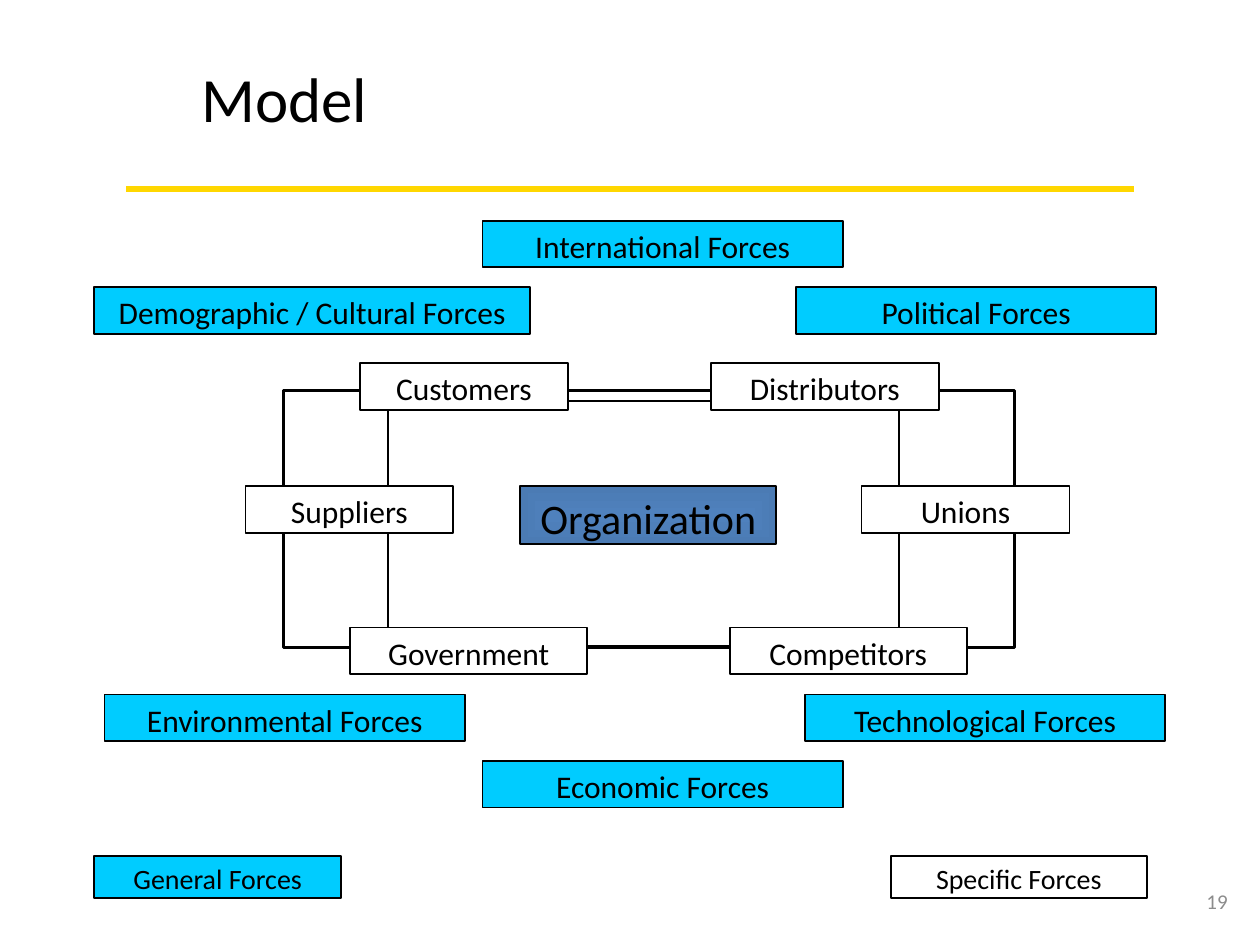
from lxml import etree
from pptx import Presentation
from pptx import util as u
from pptx.dml.color import RGBColor
from pptx.enum import shapes, text
from pptx.oxml import ns

BLACK = RGBColor(0x00, 0x00, 0x00)
WHITE = RGBColor(0xFF, 0xFF, 0xFF)
CYAN = RGBColor(0x00, 0xCC, 0xFF)
GOLD = RGBColor(0xFF, 0xD7, 0x00)
GRAY = RGBColor(0x8C, 0x8C, 0x8C)
BLUE = RGBColor(0x4F, 0x81, 0xBD)
DARK_BLUE = RGBColor(0x4B, 0x7B, 0xB4)
FONT = "Calibri"

# Lengths in centimetres: label, left, top, width
FORCE_HEIGHT, LEGEND_HEIGHT = 0.94, 0.86
GENERAL_FORCES = [
    ("International Forces", 9.73, 4.45, 7.26),
    ("Demographic / Cultural Forces", 1.9, 5.79, 8.79),
    ("Political Forces", 16.05, 5.79, 7.26),
    ("Environmental Forces", 2.11, 14.0, 7.26),
    ("Technological Forces", 16.23, 14.0, 7.26),
    ("Economic Forces", 9.73, 15.34, 7.26),
]
SPECIFIC_FORCES = [
    ("Customers", 7.26, 7.32, 4.19),
    ("Distributors", 14.33, 7.32, 4.6),
    ("Suppliers", 4.95, 9.8, 4.19),
    ("Unions", 17.37, 9.8, 4.19),
    ("Government", 7.06, 12.65, 4.78),
    ("Competitors", 14.71, 12.65, 4.78),
]
LEGEND = [
    ("General Forces", 1.9, 17.25, 4.98, CYAN),
    ("Specific Forces", 17.96, 17.25, 5.16, WHITE),
]
INNER_FRAME = (7.82, 8.08, 10.31, 4.95)
OUTER_FRAME = (5.72, 7.87, 14.73, 5.18)


def write(frame, words, size, color, align):
    paragraph = frame.paragraphs[0]
    paragraph.text = words
    paragraph.alignment = align
    paragraph.font.size = u.Pt(size)
    paragraph.font.name = FONT
    paragraph.font.color.rgb = color


def add_box(slide, place, fill=None, line_width=1, label="", size=18):
    box = slide.shapes.add_shape(shapes.MSO_SHAPE.RECTANGLE, *map(u.Cm, place))
    box.shadow.inherit = False
    if fill is None:
        box.fill.background()
    else:
        box.fill.solid()
        box.fill.fore_color.rgb = fill
    box.line.color.rgb = BLACK
    box.line.width = u.Pt(line_width)
    if label:
        box.text_frame.vertical_anchor = text.MSO_ANCHOR.TOP
        write(box.text_frame, label, size, BLACK, text.PP_ALIGN.CENTER)
    return box


def shade_from_centre(box, centre, edge):
    box.fill.gradient()
    for stop, color in zip(box.fill.gradient_stops, (centre, edge)):
        stop.color.rgb = color
    gradient = box.fill._fill._gradFill
    gradient.remove(gradient.find(ns.qn("a:lin")))
    path_fill = etree.SubElement(gradient, ns.qn("a:path"), {"path": "shape"})
    sides = dict.fromkeys("ltrb", "50000")
    etree.SubElement(path_fill, ns.qn("a:fillToRect"), sides)


def add_text(slide, place, words, size, color, align, anchor, wrap):
    frame = slide.shapes.add_textbox(*map(u.Cm, place)).text_frame
    frame.word_wrap = wrap
    frame.vertical_anchor = anchor
    write(frame, words, size, color, align)


def main():
    deck = Presentation()
    deck.slide_width, deck.slide_height = u.Cm(25.4), u.Cm(19.05)
    slide = deck.slides.add_slide(deck.slide_layouts[6])

    rule = slide.shapes.add_connector(
        shapes.MSO_CONNECTOR.STRAIGHT, u.Cm(2.54), u.Cm(3.81), u.Cm(22.86), u.Cm(3.81))
    rule.line.color.rgb = GOLD
    rule.line.width = u.Pt(4)
    etree.SubElement(rule._element.spPr, ns.qn("a:effectLst"))

    add_text(slide, (23.93, 17.65, 1.07, 1.02), "19", 12, GRAY,
             text.PP_ALIGN.RIGHT, text.MSO_ANCHOR.MIDDLE, True)
    add_text(slide, (3.81, 1.07, 3.89, 1.8), "Model", 36, BLACK,
             text.PP_ALIGN.LEFT, text.MSO_ANCHOR.TOP, False)

    add_box(slide, INNER_FRAME, WHITE)
    organization = add_box(slide, (10.49, 9.8, 5.16, 1.17), BLUE,
                           label="Organization", size=24)
    shade_from_centre(organization, BLUE, DARK_BLUE)
    add_box(slide, OUTER_FRAME, line_width=2)

    for forces, fill in ((GENERAL_FORCES, CYAN), (SPECIFIC_FORCES, WHITE)):
        for label, left, top, width in forces:
            add_box(slide, (left, top, width, FORCE_HEIGHT), fill, label=label)
    for label, left, top, width, fill in LEGEND:
        add_box(slide, (left, top, width, LEGEND_HEIGHT), fill, label=label, size=16)

    deck.save("out.pptx")


if __name__ == "__main__":
    main()
